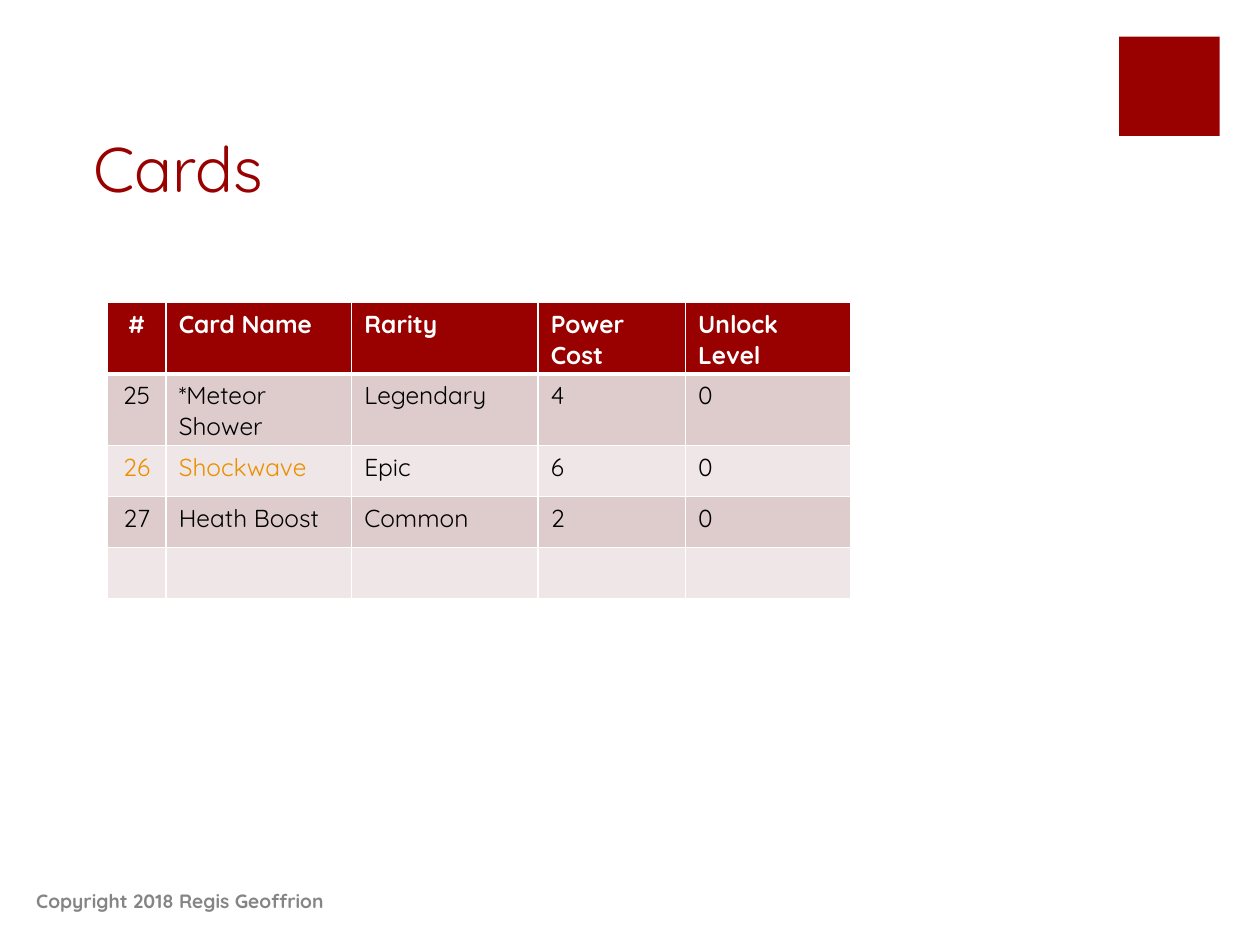
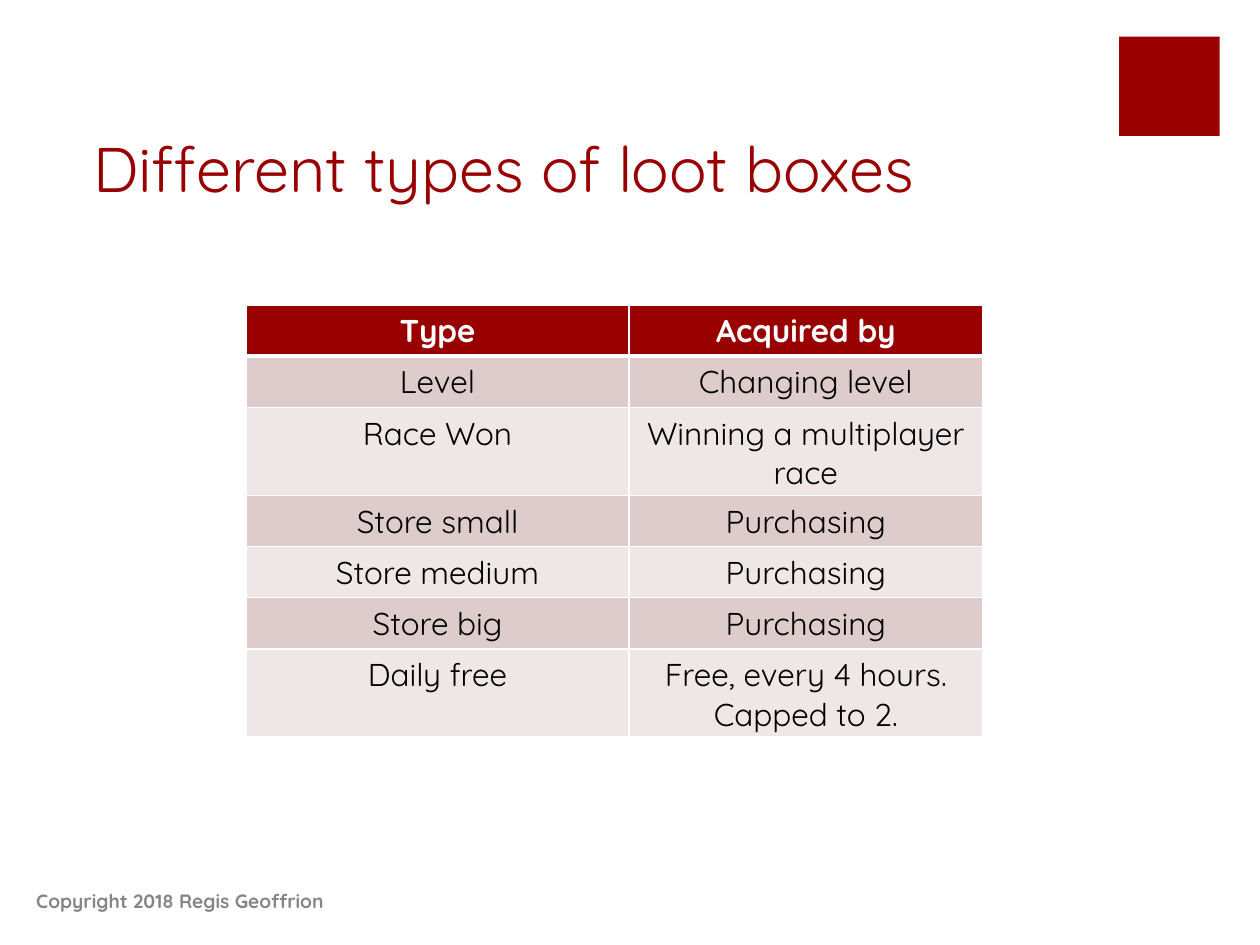
from lxml import etree
from pptx import Presentation
from pptx.dml.color import RGBColor
from pptx.enum.shapes import MSO_SHAPE
from pptx.enum.text import MSO_ANCHOR, PP_ALIGN
from pptx.oxml.ns import qn
from pptx.util import Cm, Pt

RECTANGLE = MSO_SHAPE.RECTANGLE
BOTTOM, MIDDLE = MSO_ANCHOR.BOTTOM, MSO_ANCHOR.MIDDLE
LEFT, CENTER = PP_ALIGN.LEFT, PP_ALIGN.CENTER

FONT = "Quicksand"
COLORS = {
    "red": "990000",
    "white": "FFFFFF",
    "black": "000000",
    "gray": "858585",
    "orange": "EB8F00",
    "dark band": "DECCCC",
    "light band": "EFE7E7",
}
ROW_HEIGHT = 1.03
COPYRIGHT = "Copyright 2018 Regis Geoffrion"

CARDS = [
    ["#", "Card Name", "Rarity", "Power Cost", "Unlock Level"],
    ["25", "*Meteor Shower", "Legendary", "4", "0"],
    ["26", "Shockwave", "Epic", "6", "0"],
    ["27", "Heath Boost", "Common", "2", "0"],
    [""] * 5,
]
LOOT_BOXES = [
    ["Type", "Acquired by"],
    ["Level", "Changing level"],
    ["Race Won", "Winning a multiplayer race"],
    ["Store small", "Purchasing"],
    ["Store medium", "Purchasing"],
    ["Store big", "Purchasing"],
    ["Daily free", "Free, every 4 hours. Capped to 2."],
]


def color(name):
    return RGBColor.from_string(COLORS[name])


def write(paragraph, text, size, color_name, bold=False, alignment=LEFT):
    paragraph.text = text
    paragraph.alignment = alignment
    paragraph.font.name = FONT
    paragraph.font.size = Pt(size)
    paragraph.font.bold = bold
    paragraph.font.color.rgb = color(color_name)


def add_text(slide, box, text, size, color_name, anchor, bold=False):
    frame = slide.shapes.add_textbox(*map(Cm, box)).text_frame
    frame.word_wrap = True
    frame.vertical_anchor = anchor
    write(frame.paragraphs[0], text, size, color_name, bold)


def add_slide(presentation, title):
    """Add a slide with the corner square, title and copyright line."""
    slide = presentation.slides.add_slide(presentation.slide_layouts[6])
    square = slide.shapes.add_shape(RECTANGLE, Cm(22.56), Cm(0.74), Cm(2.03), Cm(2))
    square.shadow.inherit = False
    square.fill.solid()
    square.fill.fore_color.rgb = color("red")
    square.line.fill.background()
    add_text(slide, (1.63, 1.09, 18.08, 3.18), title, 36, "red", BOTTOM)
    add_text(slide, (0.48, 17.65, 16.69, 1.02), COPYRIGHT, 11, "gray", MIDDLE, bold=True)
    return slide


def set_borders(cell, top, bottom):
    """Draw white cell borders; widths are in points."""
    properties = cell._tc.get_or_add_tcPr()
    for tag, width in (("a:lnL", 1), ("a:lnR", 1), ("a:lnT", top), ("a:lnB", bottom)):
        line = etree.SubElement(properties, qn(tag), w=str(Pt(width)))
        fill = etree.SubElement(line, qn("a:solidFill"))
        etree.SubElement(fill, qn("a:srgbClr"), val=COLORS["white"])


def add_table(slide, left, top, widths, rows, size, centered, highlighted=()):
    """Add a banded table; centered holds columns, highlighted (row, column) pairs."""
    frame = slide.shapes.add_table(
        len(rows), len(widths), Cm(left), Cm(top),
        Cm(sum(widths)), Cm(ROW_HEIGHT * len(rows)))
    table = frame.table
    table.first_row = table.horz_banding = False
    for column, width in zip(table.columns, widths):
        column.width = Cm(width)
    for i, values in enumerate(rows):
        header = i == 0
        band = "red" if header else "dark band" if i % 2 else "light band"
        table.rows[i].height = Cm(ROW_HEIGHT)
        for j, text in enumerate(values):
            cell = table.cell(i, j)
            # The thick rule lies between the header and the first data row
            set_borders(cell, 3 if i == 1 else 1, 3 if header else 1)
            cell.fill.solid()
            cell.fill.fore_color.rgb = color(band)
            if not text:
                continue
            text_color = "white" if header else "orange" if (i, j) in highlighted else "black"
            write(cell.text_frame.paragraphs[0], text, size, text_color, header,
                  CENTER if j in centered else LEFT)


def main():
    presentation = Presentation()
    presentation.slide_width, presentation.slide_height = Cm(25.4), Cm(19.05)

    # Cards
    slide = add_slide(presentation, "Cards")
    add_table(slide, 2.16, 6.1, [1.19, 3.74, 3.76, 2.97, 3.33], CARDS, 14,
              centered={0}, highlighted={(2, 0), (2, 1)})

    # Loot boxes
    slide = add_slide(presentation, "Different types of loot boxes")
    add_table(slide, 4.96, 6.15, [7.72, 7.13], LOOT_BOXES, 18, centered={0, 1})

    presentation.save("out.pptx")


if __name__ == "__main__":
    main()
